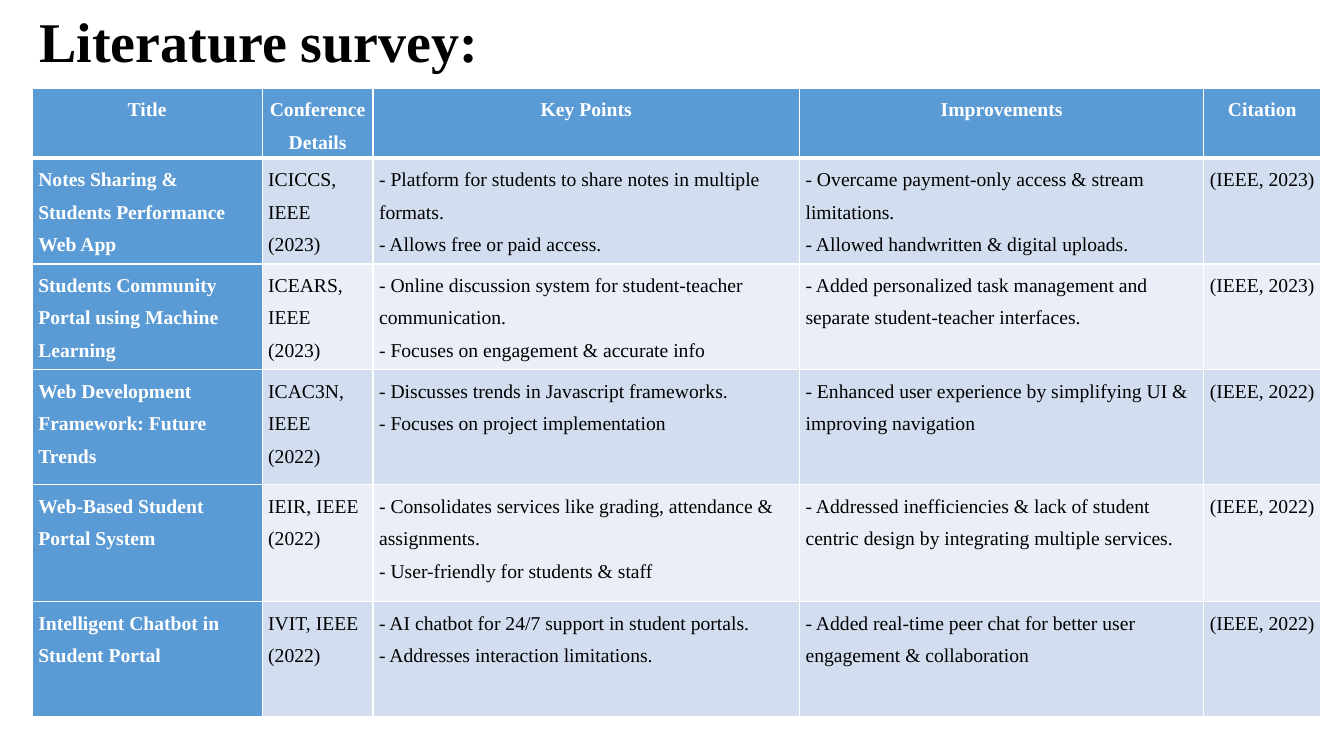
from lxml import etree
from pptx import Presentation
from pptx.dml.color import RGBColor
from pptx.enum import text
from pptx.oxml import ns
from pptx.util import Inches, Pt

WHITE = RGBColor(0xFF, 0xFF, 0xFF)
BLACK = RGBColor(0x00, 0x00, 0x00)
BLUE = RGBColor(0x5B, 0x9B, 0xD5)
BAND_DARK = RGBColor(0xD2, 0xDE, 0xEF)
BAND_LIGHT = RGBColor(0xEA, 0xEF, 0xF7)
FONT = "Times New Roman"

COLUMN_WIDTHS = [2.28, 1.1, 4.23, 4.01, 1.16]
ROW_HEIGHTS = [0.69, 1.05, 1.05, 1.14, 1.16, 1.14]
SURVEY = [
    ["Title", "Conference Details", "Key Points", "Improvements", "Citation"],
    ["Notes Sharing & Students Performance Web App",
     "ICICCS, IEEE (2023)",
     "- Platform for students to share notes in multiple formats.\n"
     "- Allows free or paid access.",
     "- Overcame payment-only access & stream limitations.\n"
     "- Allowed handwritten & digital uploads.",
     "(IEEE, 2023)"],
    ["Students Community Portal using Machine Learning",
     "ICEARS, IEEE (2023)",
     "- Online discussion system for student-teacher communication.\n"
     "- Focuses on engagement & accurate info",
     "- Added personalized task management and separate student-teacher interfaces.",
     "(IEEE, 2023)"],
    ["Web Development Framework: Future Trends",
     "ICAC3N, IEEE (2022)",
     "- Discusses trends in Javascript frameworks.\n"
     "- Focuses on project implementation",
     "- Enhanced user experience by simplifying UI & improving navigation",
     "(IEEE, 2022)"],
    ["Web-Based Student Portal System",
     "IEIR, IEEE (2022)",
     "- Consolidates services like grading, attendance & assignments.\n"
     "- User-friendly for students & staff",
     "- Addressed inefficiencies & lack of student centric design by "
     "integrating multiple services.",
     "(IEEE, 2022)"],
    ["Intelligent Chatbot in Student Portal",
     "IVIT, IEEE (2022)",
     "- AI chatbot for 24/7 support in student portals.\n"
     "- Addresses interaction limitations.",
     "- Added real-time peer chat for better user engagement & collaboration",
     "(IEEE, 2022)"],
]


def format_paragraph(paragraph, alignment, spacing, size, color, bold):
    paragraph.alignment = alignment
    paragraph.line_spacing = spacing
    font_format = {"name": FONT, "size": Pt(size), "bold": bold}
    for attribute, value in font_format.items():
        setattr(paragraph.font, attribute, value)
    paragraph.font.color.rgb = color


def add_border(cell, side, width):
    line = etree.SubElement(cell._tc.get_or_add_tcPr(), ns.qn(f"a:{side}"), w=str(Pt(width)))
    fill = etree.SubElement(line, ns.qn("a:solidFill"))
    etree.SubElement(fill, ns.qn("a:srgbClr"), val=str(WHITE))


presentation = Presentation()
presentation.slide_width = Inches(13.33)
presentation.slide_height = Inches(7.5)
slide = presentation.slides.add_slide(presentation.slide_layouts[5])

# Title
title = slide.shapes.title
title_box = {"left": 0.29, "top": 0.01, "width": 12.43, "height": 0.77}
for attribute, value in title_box.items():
    setattr(title, attribute, Inches(value))
title.text_frame.text = "Literature survey:"
title.text_frame.vertical_anchor = text.MSO_ANCHOR.TOP
title.text_frame.auto_size = text.MSO_AUTO_SIZE.NONE
format_paragraph(title.text_frame.paragraphs[0], text.PP_ALIGN.LEFT, 1.0, 40, BLACK, True)

# Survey table
table = slide.shapes.add_table(
    len(SURVEY), len(COLUMN_WIDTHS), Inches(0.32), Inches(0.88),
    Inches(sum(COLUMN_WIDTHS)), Inches(sum(ROW_HEIGHTS))).table
table.first_col = True
for column, width in zip(table.columns, COLUMN_WIDTHS):
    column.width = Inches(width)
for row, height in zip(table.rows, ROW_HEIGHTS):
    row.height = Inches(height)

cell_margins = {"margin_left": 0.06, "margin_right": 0.06, "margin_top": 0, "margin_bottom": 0}
for row_index, entries in enumerate(SURVEY):
    is_header = row_index == 0
    band = BAND_DARK if row_index % 2 else BAND_LIGHT
    alignment = text.PP_ALIGN.CENTER if is_header else text.PP_ALIGN.LEFT
    # The rule under the header row is thicker than the others
    borders = {"lnL": 1, "lnR": 1, "lnT": 3 if row_index == 1 else 1, "lnB": 3 if is_header else 1}
    for column_index, entry in enumerate(entries):
        is_heading = is_header or column_index == 0
        cell = table.cell(row_index, column_index)
        for attribute, value in cell_margins.items():
            setattr(cell, attribute, Inches(value))
        for side, width in borders.items():
            add_border(cell, side, width)
        cell.fill.solid()
        cell.fill.fore_color.rgb = BLUE if is_heading else band
        cell.text_frame.text = entry
        for paragraph in cell.text_frame.paragraphs:
            format_paragraph(paragraph, alignment, 1.5, 14,
                             WHITE if is_heading else BLACK, is_heading)

presentation.save("out.pptx")
